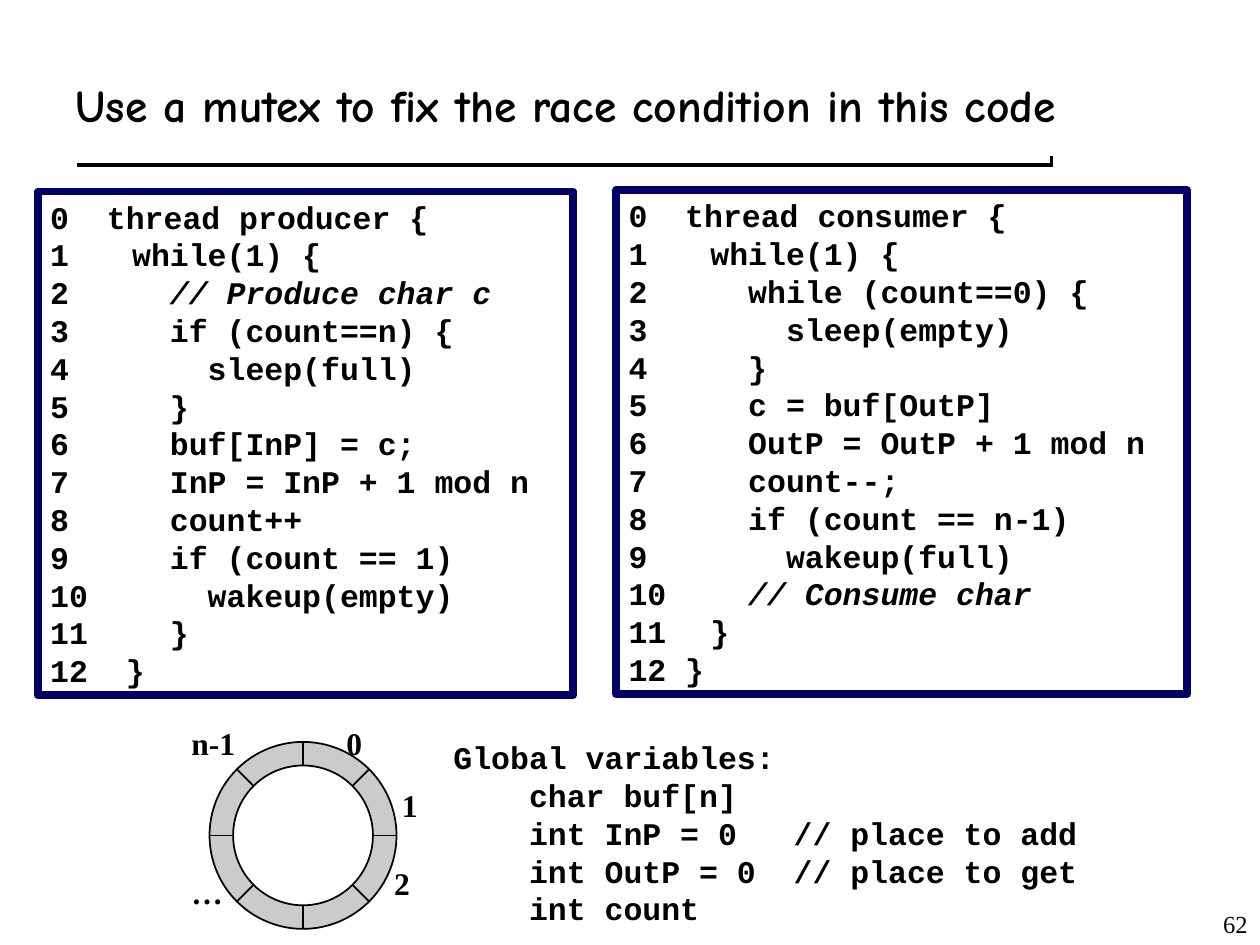
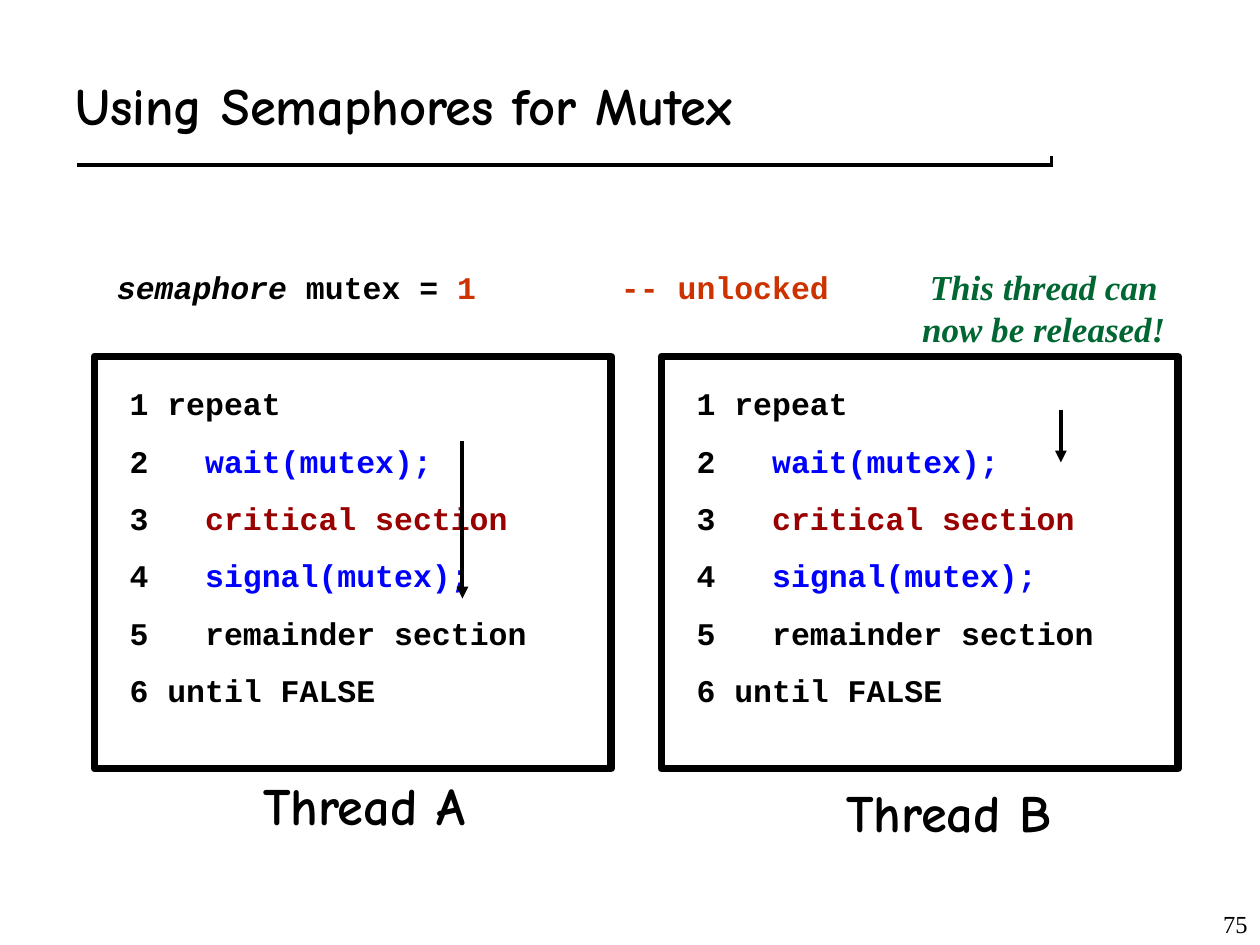
import math

import pptx
import pptx.util
import pptx.dml.color
import pptx.enum.dml
import pptx.enum.shapes
import pptx.enum.text
import pptx.oxml.ns
from lxml import etree

COLORS = {
    "ink": "000000",
    "paper": "FFFFFF",
    "navy": "000066",
    "ring": "CBCBCB",
    "call": "0000FF",
    "critical": "990000",
    "value": "CC3300",
    "release": "006733",
}
COLUMNS, ROWS = 100, 75
CELL = pptx.util.Inches(0.1)
CODE = {"font": "Courier New", "size": 18, "bold": True}
LABEL = {"font": "Times New Roman", "size": 18, "bold": True}
HEADING = {"font": "Comic Neue", "size": 30, "bold": True}
PAGE = {"font": "Times New Roman", "size": 14}
RELEASE = {"font": "Times New Roman", "size": 20, "bold": True, "italic": True, "color": "release"}
COMMENT = {"italic": True}
CALL = {"color": "call"}
CRITICAL = {"color": "critical"}
VALUE = {"color": "value"}
ALIGN = pptx.enum.text.PP_ALIGN
ANCHOR = pptx.enum.text.MSO_ANCHOR
SHAPES = pptx.enum.shapes.MSO_SHAPE

PRODUCER = [
    "0  thread producer {",
    " while(1) {",
    [("   ", {}), ("// Produce char c", COMMENT)],
    "   if (count==n) {",
    "     sleep(full)",
    "   }",
    "   buf[InP] = c;",
    "   InP = InP + 1 mod n",
    "   count++",
    "   if (count == 1)",
    "     wakeup(empty)",
    "   }",
    "12  }",
]
CONSUMER = [
    "0  thread consumer {",
    " while(1) {",
    "   while (count==0) {",
    "     sleep(empty)",
    "   }",
    "   c = buf[OutP]",
    "   OutP = OutP + 1 mod n",
    "   count--;",
    "   if (count == n-1)",
    "     wakeup(full)",
    [("   ", {}), ("// Consume char", COMMENT)],
    " }",
    "12 }",
]
GLOBALS = [
    "Global variables:",
    "    char buf[n]",
    "    int InP = 0   // place to add",
    "    int OutP = 0  // place to get",
    "    int count",
]
MUTEX_LOOP = [
    "1 repeat",
    [("2   ", {}), ("wait(mutex);", CALL)],
    [("3   ", {}), ("critical section", CRITICAL)],
    [("4   ", {}), ("signal(mutex);", CALL)],
    "5   remainder section",
    "6 until FALSE",
]


def cells(*counts):
    return [round(count * CELL) for count in counts]


def rgb(name):
    return pptx.dml.color.RGBColor.from_string(COLORS[name])


def add_child(parent, tag, **attributes):
    child = etree.SubElement(parent, pptx.oxml.ns.qn(tag))
    for key, value in attributes.items():
        child.set(key, str(value))
    return child


def write_run(paragraph, text, style):
    run = paragraph.add_run()
    run.text = text
    run.font.name = style["font"]
    run.font.size = pptx.util.Pt(style["size"])
    run.font.bold = style.get("bold", False)
    run.font.italic = style.get("italic", False)
    run.font.color.rgb = rgb(style.get("color", "ink"))


def write_lines(frame, lines, style, align=ALIGN.LEFT, gap=0, numbered=False):
    for index, line in enumerate(lines):
        paragraph = frame.paragraphs[0] if index == 0 else frame.add_paragraph()
        paragraph.alignment = align
        if gap and index:
            paragraph.space_before = pptx.util.Pt(gap)
        properties = paragraph._p.get_or_add_pPr()
        if numbered:
            hang = pptx.util.Inches(0.5)
            properties.set("marL", str(hang))
            properties.set("indent", str(-hang))
            if 0 < index < len(lines) - 1:
                add_child(properties, "a:buFont", typeface=style["font"])
                add_child(properties, "a:buAutoNum", type="arabicPlain")
        stops = add_child(properties, "a:tabLst")
        for inch in range(1, 9):
            add_child(stops, "a:tab", pos=pptx.util.Inches(inch), algn="l")
        for text, change in [(line, {})] if isinstance(line, str) else line:
            write_run(paragraph, text, {**style, **change})


def add_text(slide, area, lines, style, align=ALIGN.LEFT, anchor=ANCHOR.TOP,
             gap=0, wrap=True, grow=True):
    frame = slide.shapes.add_textbox(*cells(*area)).text_frame
    frame.word_wrap = wrap
    frame.vertical_anchor = anchor
    if grow:
        frame.auto_size = pptx.enum.text.MSO_AUTO_SIZE.SHAPE_TO_FIT_TEXT
    write_lines(frame, lines, style, align, gap)


def add_outline(slide, preset, area, line, width, fill=None):
    outline = slide.shapes.add_shape(preset, *cells(*area))
    outline.shadow.inherit = False
    if fill:
        outline.fill.solid()
        outline.fill.fore_color.rgb = rgb(fill)
    else:
        outline.fill.background()
    outline.line.color.rgb = rgb(line)
    outline.line.width = pptx.util.Pt(width)
    return outline


def add_line(slide, start, end, width, color="ink", arrow=False):
    line = slide.shapes.add_connector(
        pptx.enum.shapes.MSO_CONNECTOR.STRAIGHT, *cells(*start, *end))
    line.line.color.rgb = rgb(color)
    line.line.width = pptx.util.Pt(width)
    if arrow:
        add_child(line.line._get_or_add_ln(), "a:tailEnd", type="triangle")
    add_child(line._element.spPr, "a:effectLst")


def add_code_panel(slide, area, lines):
    panel = add_outline(slide, SHAPES.RECTANGLE, area, "navy", 4.5)
    frame = panel.text_frame
    frame.word_wrap = True
    frame.vertical_anchor = ANCHOR.TOP
    frame.auto_size = pptx.enum.text.MSO_AUTO_SIZE.SHAPE_TO_FIT_TEXT
    write_lines(frame, lines, CODE, numbered=True)


def add_ring_buffer(slide, center_x, center_y, outer, inner, slots):
    def disc(radius, fill):
        area = (center_x - radius, center_y - radius, 2 * radius, 2 * radius)
        add_outline(slide, SHAPES.OVAL, area, "ink", 1, fill)

    disc(outer, "ring")
    for step in range(slots // 2):
        angle = 2 * math.pi * step / slots
        dx, dy = outer * math.cos(angle), outer * math.sin(angle)
        add_line(slide, (center_x - dx, center_y - dy), (center_x + dx, center_y + dy), 1)
    disc(inner, "paper")


def add_thread(slide, left, name, name_left, name_top):
    add_text(slide, (left + 1.8, 30, 42.3, 26.8), MUTEX_LOOP, CODE, gap=11.2)
    add_outline(slide, SHAPES.RECTANGLE, (left, 28.3, 41, 32.7), "ink", 4.5)
    add_text(slide, (name_left, name_top, 18.3, 6), [name], HEADING, wrap=False)


def start_slide(deck, title, page, title_size=30):
    slide = deck.slides.add_slide(deck.slide_layouts[6])
    for left, top, color in ((6.1, 12.8, "ink"), (5.8, 12.5, "paper")):
        add_line(slide, (left, top), (left + 77.5, top), 6, color)
    add_text(slide, (5, 3.3, 91.7, 10), [title], {**HEADING, "size": title_size},
             anchor=ANCHOR.MIDDLE, grow=False)
    add_text(slide, (79.2, 70, 20.8, 5), [page], PAGE, ALIGN.RIGHT, ANCHOR.BOTTOM, grow=False)
    return slide


def build_race_slide(deck):
    slide = start_slide(deck, "Use a mutex to fix the race condition in this code", "62", 26)
    add_code_panel(slide, (3, 15.2, 42.5, 40), PRODUCER)
    add_code_panel(slide, (48.9, 15.1, 45.3, 40), CONSUMER)
    add_ring_buffer(slide, 24.05, 66.3, 7.42, 5.55, 8)
    for label, left, top, width in (
        ("0", 26.5, 57, 4.9),
        ("1", 30.9, 61.9, 4.9),
        ("2", 30.3, 68.1, 4.9),
        ("n-1", 14.2, 57, 8.1),
        ("…", 14.2, 68.8, 4.9),
    ):
        add_text(slide, (left, top, width, 4), [label], LABEL)
    add_text(slide, (35, 58.1, 52.5, 16), GLOBALS, CODE)


def build_semaphore_slide(deck):
    slide = start_slide(deck, "Using Semaphores for Mutex", "75")
    declaration = [("semaphore", COMMENT), (" mutex = ", {}), ("1\t\t-- unlocked", VALUE)]
    add_text(slide, (8.3, 20.8, 61.7, 4), [declaration], CODE)
    add_text(slide, (72.2, 20.6, 21.3, 7.7), ["This thread can", "now be released!"],
             RELEASE, ALIGN.CENTER, wrap=False)
    add_thread(slide, 7.5, "Thread A", 19.9, 60.9)
    add_thread(slide, 52.5, "Thread B", 66.2, 61.4)
    add_line(slide, (36.7, 35), (36.7, 47.5), 2.25, arrow=True)
    add_line(slide, (84.2, 32.5), (84.2, 36.7), 2.25, arrow=True)


def main():
    deck = pptx.Presentation()
    deck.slide_width, deck.slide_height = cells(COLUMNS, ROWS)
    build_race_slide(deck)
    build_semaphore_slide(deck)
    deck.save("out.pptx")


if __name__ == "__main__":
    main()
